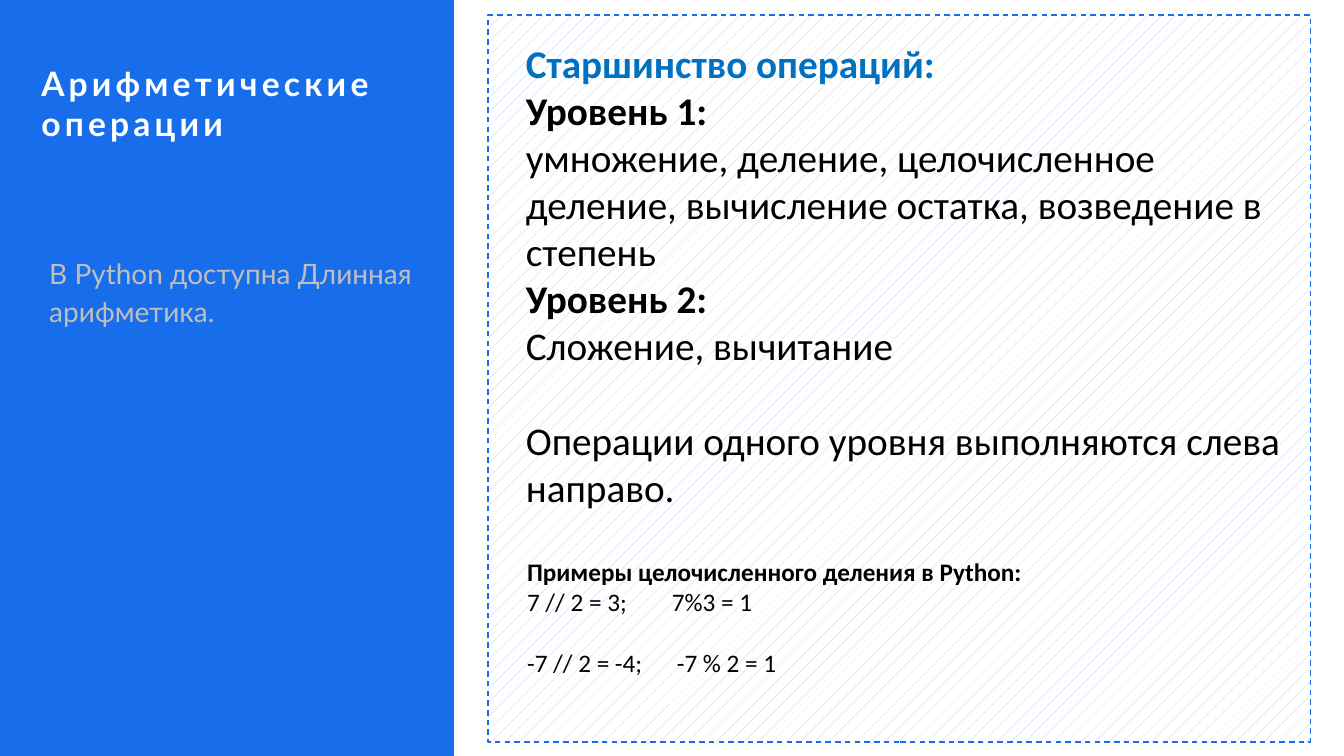
"""Build the slide on the order of arithmetic operations in Python."""
from lxml import etree
from pptx import Presentation, util as u
from pptx.dml.color import RGBColor
from pptx.enum import dml, shapes, text
from pptx.oxml.ns import qn

HUES = {"blue": "176DEA", "head": "0070C0", "ink": "000000",
        "white": "FFFFFF", "grey": "BFBFBF", "hatch": "B4C7E7"}
SIZE = (960, 540)
FRAME = (348.5, 10.8, 587.5, 519.1)
PANEL = (0, 0, 324, 542.9)
INSET = (7.2, 3.6, 7.2, 3.6)

TITLE = {"box": (29.5, 44.6, 294.5, 58.3), "inset": (0, 0, 0, 0),
         "font": "Lato", "size": 24,
         "lines": [("Арифметические операции",
                    {"hue": "white", "bold": True, "track": 300})]}
TEXTS = [
    {"box": (368.6, 24.5, 571, 346.3), "font": "Calibri", "size": 28,
     "lines": [
         ("Старшинство операций:", {"hue": "head", "bold": True}),
         ("Уровень 1:", {"bold": True}),
         ("умножение, деление, целочисленное деление, "
          "вычисление остатка, возведение в степень", {}),
         ("Уровень 2:", {"bold": True}),
         ("Сложение, вычитание", {}),
         ("Операции одного уровня выполняются слева направо.",
          {"before": 34.2})]},
    {"box": (369.4, 393.8, 571.7, 94.3), "font": "Calibri", "size": 18,
     "lines": [
         ("Примеры целочисленного деления в Python:", {"bold": True}),
         ("7 // 2 = 3;\t7%3 = 1", {"tab": 103.5}),
         ("-7 // 2 = -4;\t-7 % 2 = 1", {"tab": 107, "before": 22})]},
    {"box": (28.1, 176.4, 301.7, 60.5), "font": "Lato", "size": 20,
     "lines": [("В Python доступна Длинная арифметика.",
                {"hue": "grey", "before": 10, "lead": 1.14})]},
]


def tint(name):
    return RGBColor.from_string(HUES[name])


def assign(item, values):
    for key, val in values.items():
        setattr(item, key, val)


def place(box):
    return [u.Pt(n) for n in box]


def block(kind, box):
    shape = slide.shapes.add_shape(kind, *place(box))
    shape.shadow.inherit = False
    return shape


def write(shape, data):
    frame = shape.text_frame
    sides = ("margin_left", "margin_top", "margin_right", "margin_bottom")
    assign(frame, dict(zip(sides, place(data.get("inset", INSET)))))
    assign(frame, {"word_wrap": True, "auto_size": text.MSO_AUTO_SIZE.NONE,
                   "vertical_anchor": text.MSO_ANCHOR.TOP})
    for i, (words, look) in enumerate(data["lines"]):
        para = frame.add_paragraph() if i else frame.paragraphs[0]
        assign(para, {"alignment": text.PP_ALIGN.LEFT,
                      "line_spacing": look.get("lead", 1.0),
                      "space_before": u.Pt(look.get("before", 0))})
        if "tab" in look:
            stops = etree.SubElement(para._p.get_or_add_pPr(), qn("a:tabLst"))
            etree.SubElement(stops, qn("a:tab"),
                             pos=str(int(u.Pt(look["tab"]))), algn="l")
        run = para.add_run()
        run.text = words
        assign(run.font, {"name": data["font"], "size": u.Pt(data["size"]),
                          "bold": look.get("bold", False)})
        run.font.color.rgb = tint(look.get("hue", "ink"))
        if "track" in look:
            run.font._element.set("spc", str(look["track"]))


deck = Presentation()
assign(deck, dict(zip(("slide_width", "slide_height"), place(SIZE))))
slide = deck.slides.add_slide(deck.slide_layouts[5])

frame = block(shapes.MSO_SHAPE.RECTANGLE, FRAME)
frame.fill.patterned()
frame.fill.pattern = dml.MSO_PATTERN.PERCENT_5
frame.fill.fore_color.rgb = tint("hatch")
frame.fill.back_color.rgb = tint("white")
frame.line.color.rgb = tint("blue")
assign(frame.line, {"width": u.Pt(1), "dash_style": dml.MSO_LINE.DASH})

panel = block(shapes.MSO_SHAPE.PARALLELOGRAM, PANEL)
panel.adjustments[0] = 0
panel.fill.solid()
panel.fill.fore_color.rgb = tint("blue")
panel.line.fill.background()

title = slide.shapes.title
assign(title, dict(zip(("left", "top", "width", "height"),
                       place(TITLE["box"]))))
panel._element.addnext(title._element)
write(title, TITLE)
for data in TEXTS:
    write(slide.shapes.add_textbox(*place(data["box"])), data)

deck.save("out.pptx")
